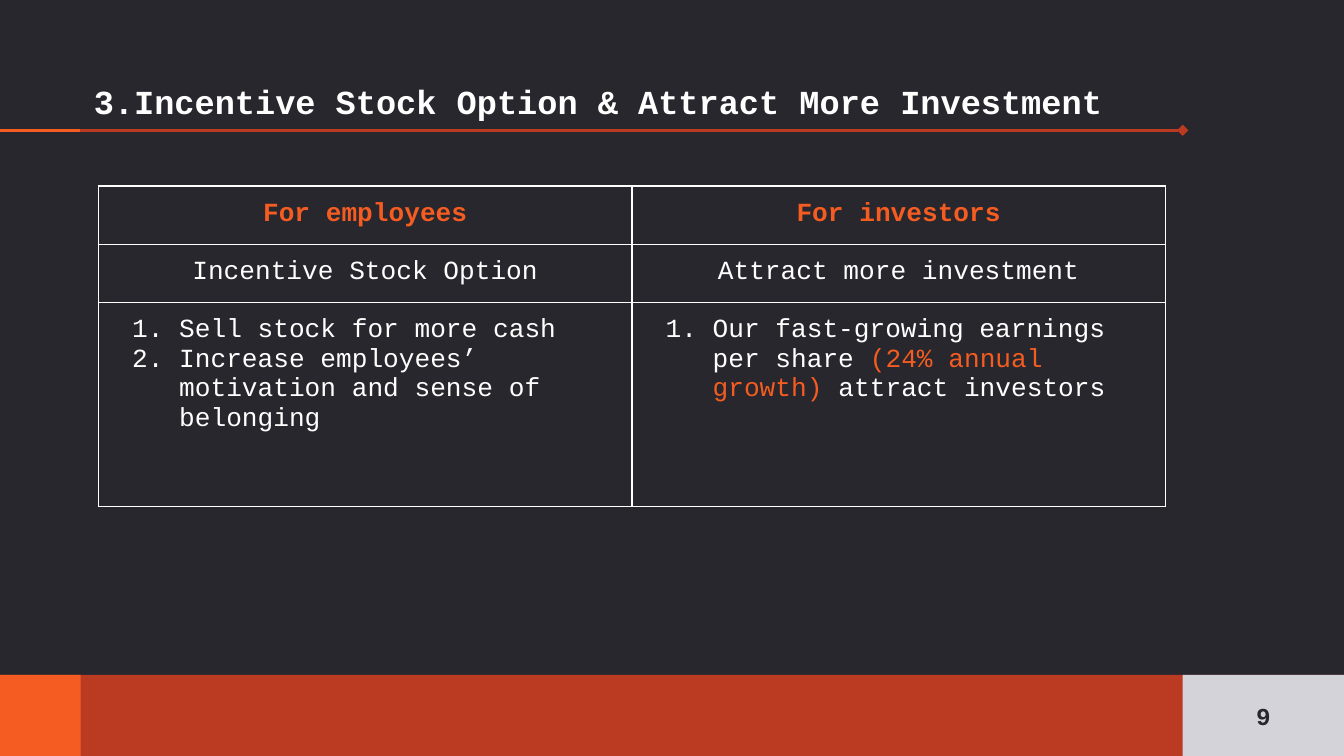
from dataclasses import dataclass

from lxml.etree import SubElement
from pptx import Presentation
from pptx.dml.color import RGBColor
from pptx.enum.shapes import MSO_CONNECTOR, MSO_SHAPE
from pptx.enum.text import MSO_ANCHOR, PP_ALIGN
from pptx.oxml.ns import qn
from pptx.shapes.autoshape import Shape
from pptx.slide import Slide
from pptx.table import _Cell
from pptx.text.text import TextFrame, _Paragraph
from pptx.util import Pt

COLORS = {
    "dark": "27272D",
    "rust": "BA3B21",
    "orange": "F55C21",
    "gray": "D4D3D9",
    "white": "FFFFFF",
}
FONT = "Courier New"
INSET = 7.2
PAGE_WIDTH, PAGE_HEIGHT = 720, 405
BAND_TOP, BAND_HEIGHT = 361.5, 43.5
RULE_TOP = 69.8
TABLE_LEFT, TABLE_TOP = 52.8, 99.6
COLUMN_WIDTH = 285.8
ROW_HEIGHTS = (30, 30, 109.4)


@dataclass
class Block:
    left: float
    width: float
    color: str


@dataclass
class Rule:
    end: float
    color: str
    tail: str = "none"


@dataclass
class Span:
    text: str
    color: str = "white"
    bold: bool = False
    size: float = 14


@dataclass
class Entry:
    paragraphs: list[list[Span]]
    numbered: bool = False


RULES = [Rule(633.6, "rust", "diamond"), Rule(42.7, "orange")]
BLOCKS = [Block(0, PAGE_WIDTH, "rust"), Block(0, 43.2, "orange")]
NUMBER_BLOCK = Block(633.6, 86.4, "gray")
TABLE_ROWS = [
    [
        Entry([[Span("For employees", "orange", True)]]),
        Entry([[Span("For investors", "orange", True)]]),
    ],
    [
        Entry([[Span("Incentive Stock Option")]]),
        Entry([[Span("Attract more investment")]]),
    ],
    [
        Entry(
            [
                [Span("Sell stock for more cash")],
                [Span("Increase employees’ motivation and sense of belonging")],
            ],
            numbered=True,
        ),
        Entry(
            [
                [
                    Span("Our fast-growing earnings per share "),
                    Span("(24% annual growth)", "orange"),
                    Span(" attract investors"),
                ]
            ],
            numbered=True,
        ),
    ],
]


def rgb(name: str) -> RGBColor:
    return RGBColor.from_string(COLORS[name])


def write_spans(paragraph: _Paragraph, spans: list[Span]) -> None:
    for span in spans:
        run = paragraph.add_run()
        run.text = span.text
        run.font.name = FONT
        run.font.size = Pt(span.size)
        run.font.bold = span.bold
        run.font.color.rgb = rgb(span.color)


def set_margins(target: TextFrame | _Cell) -> None:
    target.margin_left = target.margin_right = Pt(INSET)
    target.margin_top = target.margin_bottom = Pt(INSET)


def draw_rule(page: Slide, rule: Rule) -> None:
    line = page.shapes.add_connector(
        MSO_CONNECTOR.STRAIGHT, Pt(-0.7), Pt(RULE_TOP), Pt(rule.end), Pt(RULE_TOP)
    )
    line.line.color.rgb = rgb(rule.color)
    line.line.width = Pt(1.5)
    SubElement(line.line._get_or_add_ln(), qn("a:tailEnd"), type=rule.tail)
    SubElement(line._element.spPr, qn("a:effectLst"))


def draw_block(page: Slide, block: Block) -> Shape:
    shape = page.shapes.add_shape(
        MSO_SHAPE.RECTANGLE,
        Pt(block.left), Pt(BAND_TOP), Pt(block.width), Pt(BAND_HEIGHT),
    )
    shape.shadow.inherit = False
    shape.fill.solid()
    shape.fill.fore_color.rgb = rgb(block.color)
    shape.line.fill.background()
    return shape


def draw_title(page: Slide, span: Span) -> None:
    box = page.shapes.add_textbox(Pt(43.2), Pt(28.8), Pt(590.4), Pt(43.2))
    frame = box.text_frame
    frame.word_wrap = True
    frame.vertical_anchor = MSO_ANCHOR.BOTTOM
    set_margins(frame)
    write_spans(frame.paragraphs[0], [span])


def draw_page_number(page: Slide, span: Span) -> None:
    frame = draw_block(page, NUMBER_BLOCK).text_frame
    frame.vertical_anchor = MSO_ANCHOR.MIDDLE
    set_margins(frame)
    frame.paragraphs[0].alignment = PP_ALIGN.CENTER
    write_spans(frame.paragraphs[0], [span])


def number_paragraph(paragraph: _Paragraph) -> None:
    properties = paragraph._p.get_or_add_pPr()
    properties.set("marL", str(Pt(36)))
    properties.set("indent", str(Pt(-25.2)))
    bullet_color = SubElement(properties, qn("a:buClr"))
    SubElement(bullet_color, qn("a:srgbClr"), val=COLORS["white"])
    SubElement(properties, qn("a:buFont"), typeface=FONT)
    SubElement(properties, qn("a:buAutoNum"), type="arabicPeriod")


def outline_cell(cell: _Cell) -> None:
    properties = cell._tc.get_or_add_tcPr()
    for side in ("lnL", "lnR", "lnT", "lnB"):
        border = SubElement(properties, qn(f"a:{side}"), w=str(Pt(0.75)))
        fill = SubElement(border, qn("a:solidFill"))
        SubElement(fill, qn("a:srgbClr"), val=COLORS["white"])


def fill_cell(cell: _Cell, entry: Entry) -> None:
    set_margins(cell)
    outline_cell(cell)
    cell.fill.background()
    frame = cell.text_frame
    for index, spans in enumerate(entry.paragraphs):
        paragraph = frame.add_paragraph() if index else frame.paragraphs[0]
        if entry.numbered:
            number_paragraph(paragraph)
        else:
            paragraph.alignment = PP_ALIGN.CENTER
        write_spans(paragraph, spans)


def draw_table(page: Slide, rows: list[list[Entry]]) -> None:
    columns = len(rows[0])
    table = page.shapes.add_table(
        len(rows), columns, Pt(TABLE_LEFT), Pt(TABLE_TOP),
        Pt(columns * COLUMN_WIDTH), Pt(sum(ROW_HEIGHTS)),
    ).table
    table.first_row = table.horz_banding = False
    for column in table.columns:
        column.width = Pt(COLUMN_WIDTH)
    for row, height, entries in zip(table.rows, ROW_HEIGHTS, rows):
        row.height = Pt(height)
        for cell, entry in zip(row.cells, entries):
            fill_cell(cell, entry)


def main() -> None:
    deck = Presentation()
    deck.slide_width, deck.slide_height = Pt(PAGE_WIDTH), Pt(PAGE_HEIGHT)
    page = deck.slides.add_slide(deck.slide_layouts[6])
    page.background.fill.solid()
    page.background.fill.fore_color.rgb = rgb("dark")
    for block in BLOCKS:
        draw_block(page, block)
    for rule in RULES:
        draw_rule(page, rule)
    title = "3.Incentive Stock Option & Attract More Investment"
    draw_title(page, Span(title, bold=True, size=18))
    draw_page_number(page, Span("9", "dark", True, 13))
    draw_table(page, TABLE_ROWS)
    deck.save("out.pptx")


if __name__ == "__main__":
    main()
